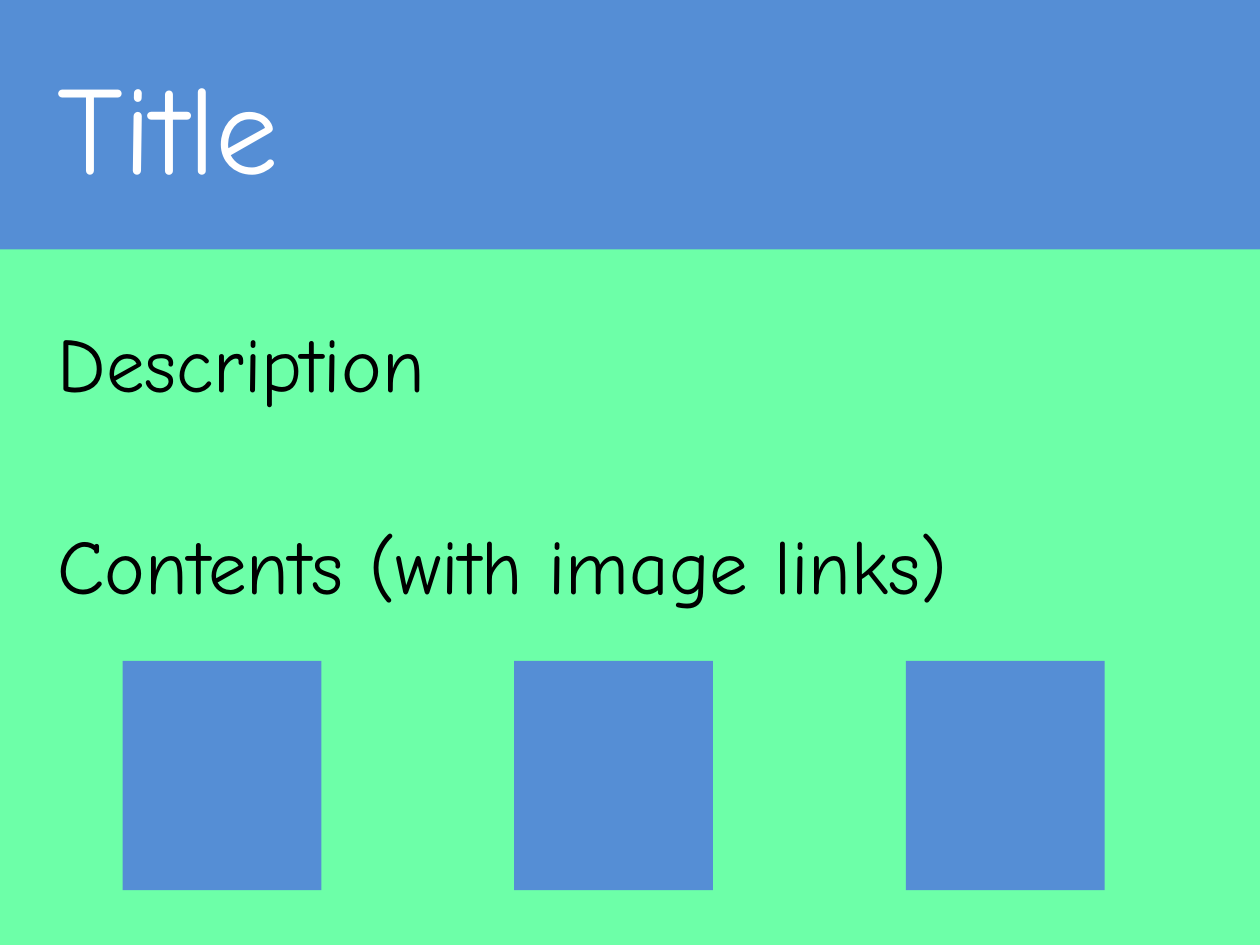
from pptx import Presentation
from pptx.dml.color import RGBColor
from pptx.enum.shapes import MSO_SHAPE
from pptx.enum.text import MSO_AUTO_SIZE
from pptx.util import Inches, Pt

RECT = MSO_SHAPE.RECTANGLE
GROW = MSO_AUTO_SIZE.SHAPE_TO_FIT_TEXT

WIDTH, HEIGHT = 10, 7.5
BLUE, GREEN, WHITE, BLACK = "558ED5", "6DFFA8", "FFFFFF", "000000"
FONT = "Comic Neue"
TITLE = {"size": Pt(72), "name": FONT}
HEADING = {"size": Pt(44), "name": FONT}


def rgb(value):
    return RGBColor.from_string(value)


def add_rect(slide, x, y, w, h, fill):
    sp = slide.shapes.add_shape(RECT, Inches(x), Inches(y), Inches(w), Inches(h))
    sp.shadow.inherit = False
    sp.fill.solid()
    sp.fill.fore_color.rgb = rgb(fill)
    sp.line.fill.background()


def add_text(slide, x, y, w, h, text, fmt, color):
    sp = slide.shapes.add_textbox(Inches(x), Inches(y), Inches(w), Inches(h))
    tf = sp.text_frame
    tf.word_wrap = False
    tf.auto_size = GROW
    r = tf.paragraphs[0].add_run()
    r.text = text
    for key, value in fmt.items():
        setattr(r.font, key, value)
    r.font.color.rgb = rgb(color)


def add_header(slide, x, y, w, h):
    add_rect(slide, x, y, w, h, BLUE)
    add_text(slide, x + 0.036 * w, y + 0.17 * h, 0.25 * w, 0.66 * h,
             "Title", TITLE, WHITE)


def add_description(slide, x, y, w, h):
    add_text(slide, x, y, 0.4 * w, h, "Description", HEADING, BLACK)


def add_contents(slide, x, y, w, h, count=3):
    add_text(slide, x, y, 0.92 * w, 0.28 * h,
             "Contents (with image links)", HEADING, BLACK)
    step = 0.335 * w
    for i in range(count):
        add_rect(slide, x + 0.066 * w + i * step, y + 0.395 * h,
                 0.17 * w, 0.605 * h, BLUE)


def main():
    prs = Presentation()
    prs.slide_width, prs.slide_height = Inches(WIDTH), Inches(HEIGHT)
    slide = prs.slides.add_slide(prs.slide_layouts[6])
    slide.background.fill.solid()
    slide.background.fill.fore_color.rgb = rgb(GREEN)

    margin = 0.036 * WIDTH
    inner = WIDTH - 2 * margin
    add_header(slide, 0, 0, WIDTH, 0.264 * HEIGHT)
    add_description(slide, margin, 0.327 * HEIGHT, inner, 0.112 * HEIGHT)
    add_contents(slide, margin, 0.541 * HEIGHT, inner, 0.401 * HEIGHT)
    prs.save("out.pptx")


if __name__ == "__main__":
    main()
